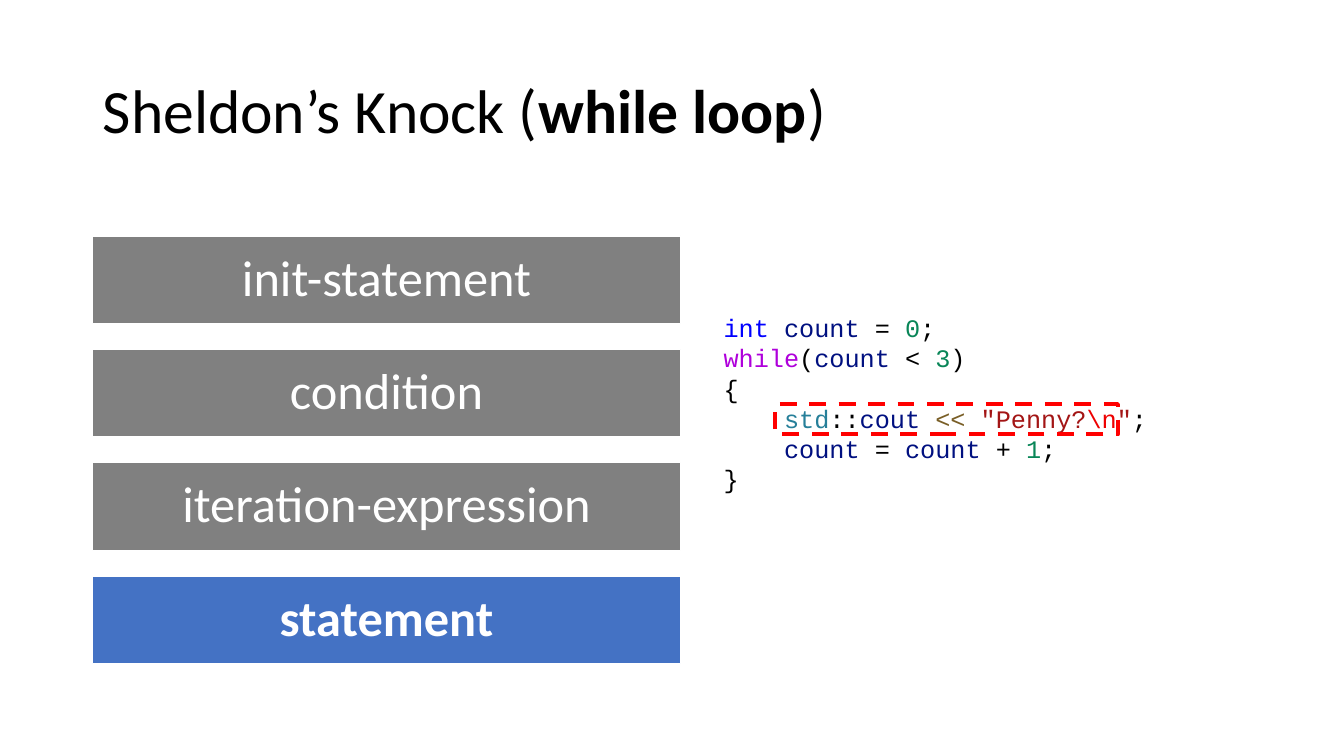
from pptx import Presentation
from pptx.dml.color import RGBColor
from pptx.enum.dml import MSO_LINE
from pptx.enum.shapes import MSO_SHAPE
from pptx.enum.text import MSO_ANCHOR, PP_ALIGN
from pptx.util import Inches, Pt

RECTANGLE = MSO_SHAPE.RECTANGLE
DASH = MSO_LINE.DASH
MIDDLE = MSO_ANCHOR.MIDDLE
LEFT, CENTER = PP_ALIGN.LEFT, PP_ALIGN.CENTER

SLIDE_WIDTH, SLIDE_HEIGHT = Inches(13.33), Inches(7.5)
MARGIN = 6.9
BAR_TOP, BAR_PITCH, BAR_WIDTH, BAR_HEIGHT = 31.2, 15, 43.73, 11.6

BLACK, WHITE, RED = "000000", "FFFFFF", "FF0000"
GRAY, BLUE = "808080", "4472C4"
TYPE, NAME, NUMBER, KEYWORD = "0000FF", "001080", "098658", "AF00DB"
NAMESPACE, OPERATOR, STRING, ESCAPE = "267F99", "795E26", "A31515", "EE0000"

LOOP_PARTS = [
    ("init-statement", False),
    ("condition", False),
    ("iteration-expression", False),
    ("statement", True),
]

CODE_LINES = [
    [("int ", TYPE), ("count", NAME), (" = ", BLACK), ("0", NUMBER), (";", BLACK)],
    [("while", KEYWORD), ("(", BLACK), ("count", NAME), (" < ", BLACK),
     ("3", NUMBER), (")", BLACK)],
    [("{", BLACK)],
    [("    ", BLACK), ("std", NAMESPACE), ("::", BLACK), ("cout ", NAME),
     ("<< ", OPERATOR), ('"Penny?', STRING), (r"\n", ESCAPE), ('"', STRING),
     (";", BLACK)],
    [("    ", BLACK), ("count", NAME), (" = ", BLACK), ("count", NAME),
     (" + ", BLACK), ("1", NUMBER), (";", BLACK)],
    [("}", BLACK)],
]


def color(hex_code):
    return RGBColor.from_string(hex_code)


def area(left, top, width, height):
    """Turn percentages of the slide into left, top, width and height."""
    return (int(SLIDE_WIDTH * left / 100), int(SLIDE_HEIGHT * top / 100),
            int(SLIDE_WIDTH * width / 100), int(SLIDE_HEIGHT * height / 100))


def style(font, name, size, hex_code, bold=False):
    font.name, font.size, font.bold = name, Pt(size), bold
    font.color.rgb = color(hex_code)


def add_title(slide, parts):
    title = slide.shapes.title
    title.left, title.top, title.width, title.height = area(MARGIN, 5.33, 86.25, 19.33)
    title.text_frame.vertical_anchor = MIDDLE
    heading = title.text_frame.paragraphs[0]
    heading.alignment = LEFT
    heading.line_spacing = 0.9
    for text, bold in parts:
        run = heading.add_run()
        run.text = text
        style(run.font, "Calibri", 44, BLACK, bold)


def add_bar(slide, row, label, active):
    bar = slide.shapes.add_shape(
        RECTANGLE, *area(MARGIN, BAR_TOP + row * BAR_PITCH, BAR_WIDTH, BAR_HEIGHT))
    bar.shadow.inherit = False
    bar.fill.solid()
    bar.fill.fore_color.rgb = color(BLUE if active else GRAY)
    bar.line.color.rgb = color(WHITE)
    bar.line.width = Pt(1)
    frame = bar.text_frame
    frame.text = label
    frame.vertical_anchor = MIDDLE
    paragraph = frame.paragraphs[0]
    paragraph.alignment = CENTER
    paragraph.line_spacing = 0.9
    style(paragraph.runs[0].font, "Calibri", 36, WHITE, active)


def add_code(slide, lines):
    frame = slide.shapes.add_textbox(*area(53.1, 40.67, 40.9, 25.6)).text_frame
    frame.word_wrap = True
    for number, tokens in enumerate(lines):
        paragraph = frame.add_paragraph() if number else frame.paragraphs[0]
        for text, hex_code in tokens:
            run = paragraph.add_run()
            run.text = text
            style(run.font, "Courier New", 18, hex_code)


def add_highlight(slide):
    highlight = slide.shapes.add_shape(RECTANGLE, *area(57.68, 53.47, 25.5, 4))
    highlight.shadow.inherit = False
    highlight.fill.background()
    highlight.line.color.rgb = color(RED)
    highlight.line.width = Pt(3)
    highlight.line.dash_style = DASH


def main():
    deck = Presentation()
    deck.slide_width, deck.slide_height = SLIDE_WIDTH, SLIDE_HEIGHT
    slide = deck.slides.add_slide(deck.slide_layouts.get_by_name("Title Only"))
    add_title(slide, [("Sheldon’s Knock (", False), ("while loop", True), (")", False)])
    add_code(slide, CODE_LINES)
    for row, (label, active) in enumerate(LOOP_PARTS):
        add_bar(slide, row, label, active)
    add_highlight(slide)
    deck.save("out.pptx")


if __name__ == "__main__":
    main()
